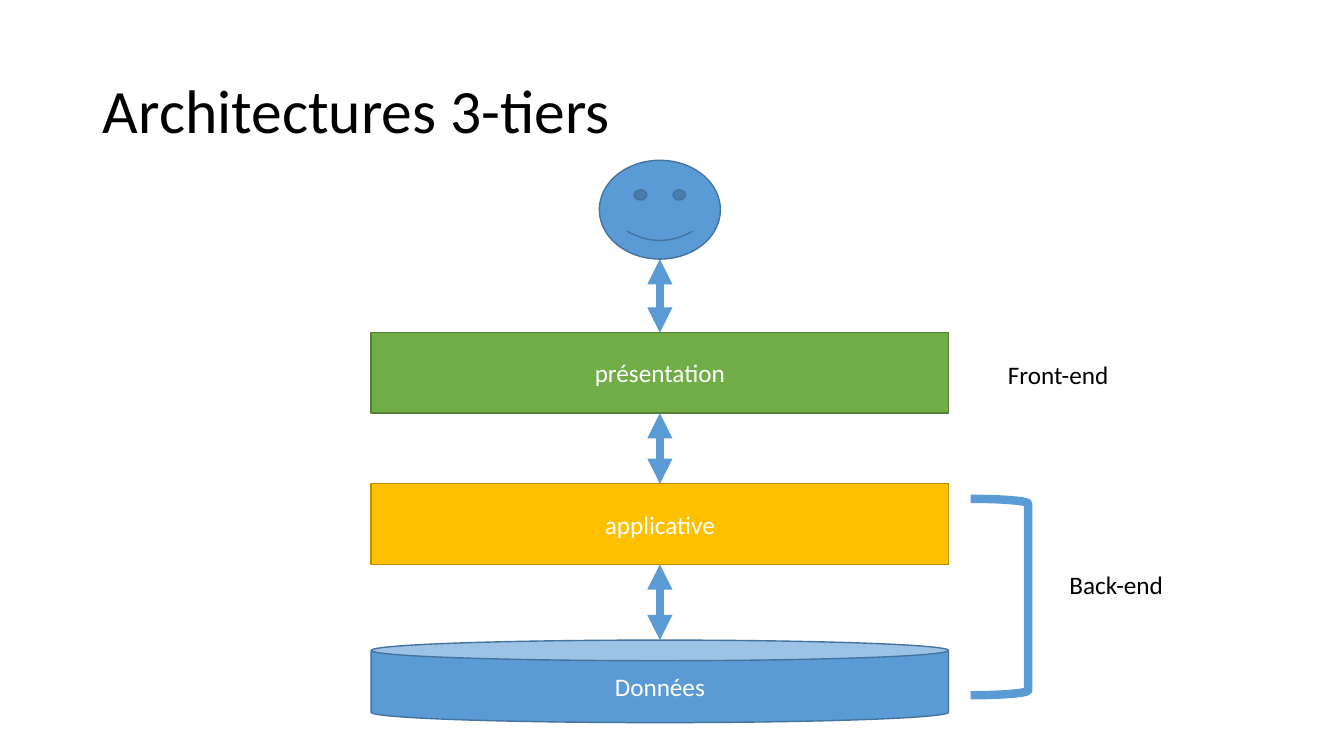
from itertools import pairwise
from lxml.etree import SubElement
from pptx import Presentation
from pptx.dml.color import RGBColor
from pptx.enum.shapes import MSO_CONNECTOR as Link, MSO_SHAPE as Preset
from pptx.enum.text import MSO_ANCHOR as Anchor, MSO_AUTO_SIZE as Fit, PP_ALIGN as Align
from pptx.oxml.ns import qn
from pptx.util import Cm, Pt

THEME = {
    "font": "Calibri", "title": Pt(44), "body": Pt(18), "ink": "000000", "light": "FFFFFF",
    "blue": "5B9BD5", "blue edge": "43739E", "gold": "FFC000", "gold edge": "BD8E00",
    "green": "70AD47", "green edge": "538035", "thin": Pt(1), "thick": Pt(6),
}


def write(frame, words, size, color, align, layout):
    for name, value in layout.items():
        setattr(frame, name, value)
    frame.text = words
    paragraph = frame.paragraphs[0]
    paragraph.alignment = align
    font = paragraph.runs[0].font
    for name, value in {"name": THEME["font"], "size": THEME[size]}.items():
        setattr(font, name, value)
    font.color.rgb = RGBColor.from_string(THEME[color])
    return paragraph


def stroke(line, color, width):
    line.color.rgb = RGBColor.from_string(THEME[color])
    line.width = THEME[width]


deck = Presentation()
deck.slide_width, deck.slide_height = Cm(33.87), Cm(19.05)
slide = deck.slides.add_slide(deck.slide_layouts[5])
shapes = slide.shapes

heading = shapes.title
for name, value in {"left": 2.34, "top": 1.02, "width": 29.21, "height": 3.68}.items():
    setattr(heading, name, Cm(value))
heading_text = write(heading.text_frame, "Architectures 3-tiers", "title", "ink", Align.LEFT,
                     {"vertical_anchor": Anchor.MIDDLE, "auto_size": Fit.NONE, "word_wrap": True})
heading_text.line_spacing = 0.9

axis = 16.63
stages = [
    (Preset.SMILEY_FACE, "", "blue", 4.04, 3.05, 2.49),
    (Preset.RECTANGLE, "présentation", "green", 8.38, 14.55, 2.03),
    (Preset.RECTANGLE, "applicative", "gold", 12.19, 14.55, 2.03),
    (Preset.CAN, "Données", "blue", 16.13, 14.55, 2.08),
]
for preset, words, color, top, width, height in stages:
    stage = shapes.add_shape(preset, Cm(axis - width / 2), Cm(top), Cm(width), Cm(height))
    stage.shadow.inherit = False
    stage.fill.solid()
    stage.fill.fore_color.rgb = RGBColor.from_string(THEME[color])
    stroke(stage.line, f"{color} edge", "thin")
    if words:
        write(stage.text_frame, words, "body", "light", Align.CENTER,
              {"vertical_anchor": Anchor.MIDDLE})

for (*_, upper_top, _, upper_height), (*_, lower_top, _, _) in pairwise(stages):
    exchange = shapes.add_connector(Link.STRAIGHT, Cm(axis), Cm(upper_top + upper_height),
                                    Cm(axis), Cm(lower_top))
    stroke(exchange.line, "blue", "thick")
    outline = exchange.line._get_or_add_ln()
    for end in ("a:headEnd", "a:tailEnd"):
        SubElement(outline, qn(end), type="triangle")
    SubElement(exchange._element.spPr, qn("a:effectLst"))

back_end_span = shapes.add_shape(Preset.RIGHT_BRACKET, Cm(24.46), Cm(12.57), Cm(1.45), Cm(4.95))
back_end_span.shadow.inherit = False
back_end_span.fill.background()
stroke(back_end_span.line, "blue", "thick")

for words, left, top, width in [("Front-end", 25.15, 8.94, 3.1), ("Back-end", 26.7, 14.22, 2.92)]:
    side = shapes.add_textbox(Cm(left), Cm(top), Cm(width), Cm(1.02))
    write(side.text_frame, words, "body", "ink", Align.LEFT,
          {"word_wrap": False, "auto_size": Fit.SHAPE_TO_FIT_TEXT})

deck.save("out.pptx")
